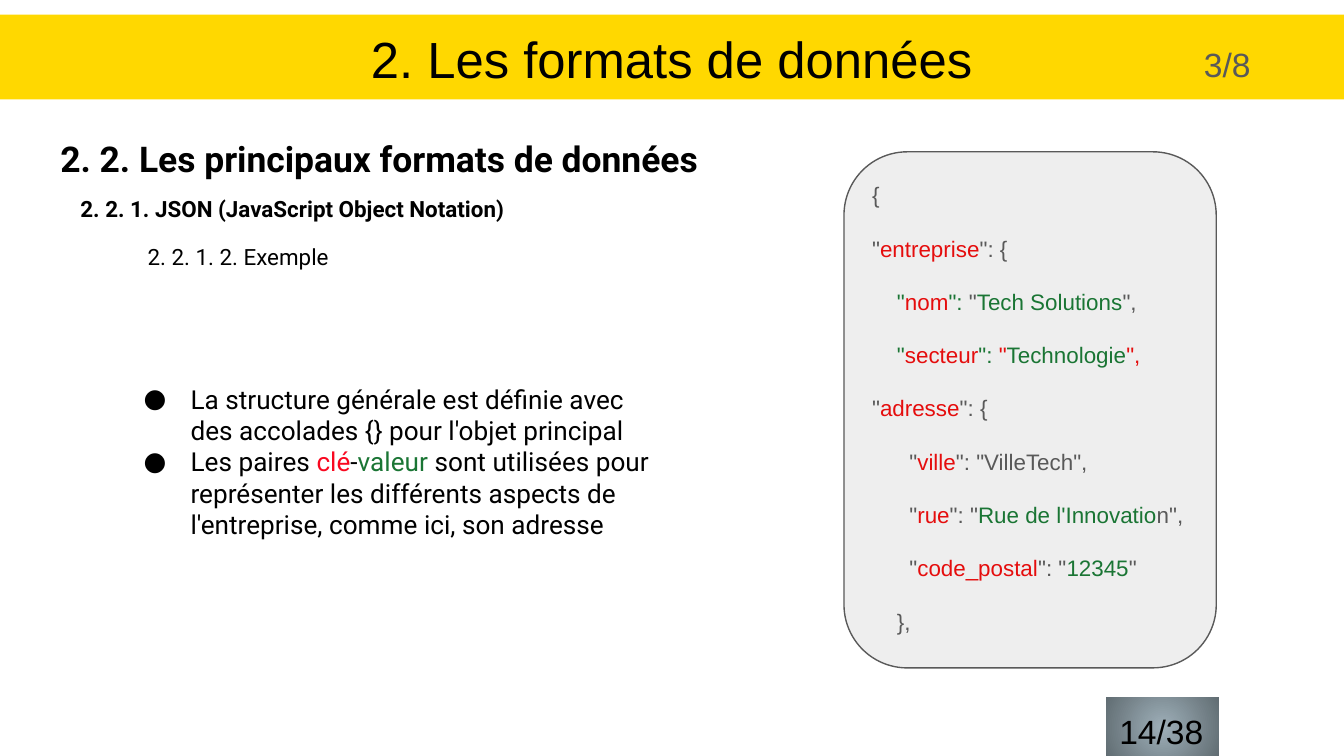
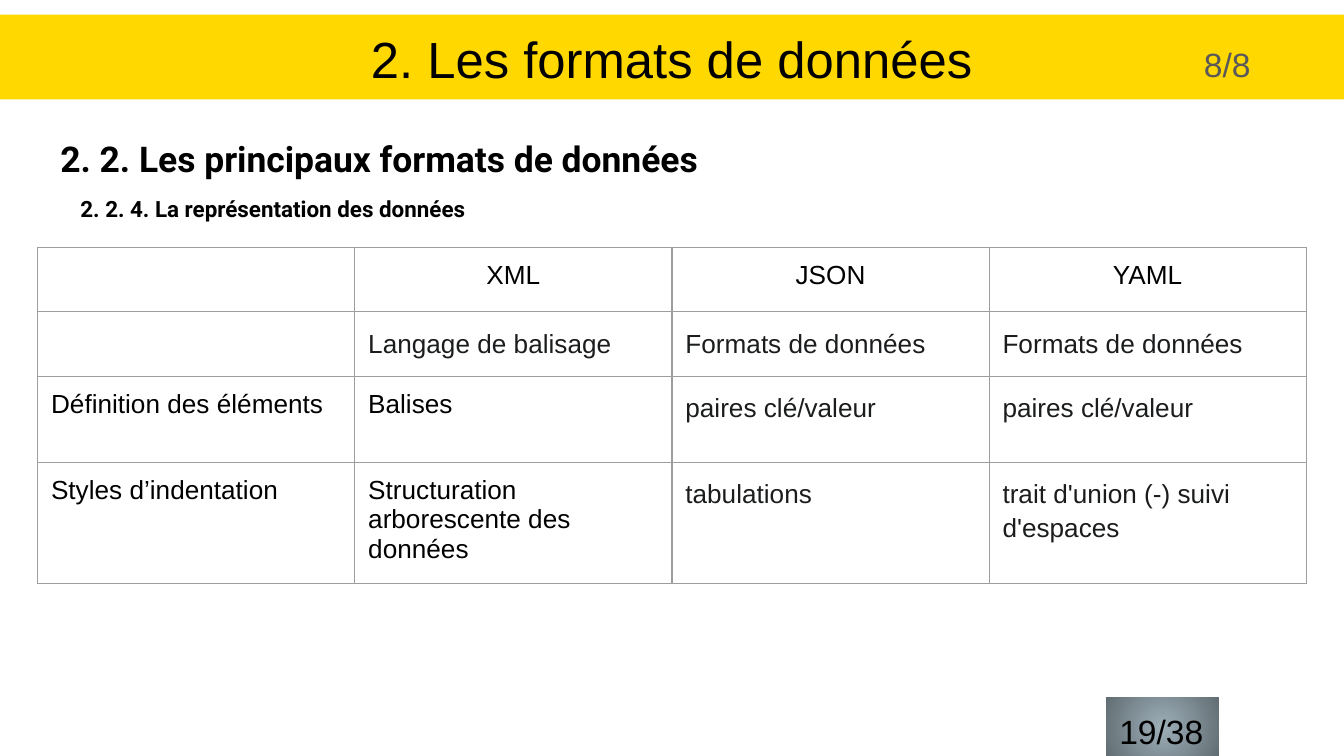
from dataclasses import dataclass
from typing import Optional

from lxml.etree import SubElement as Sub
from pptx import Presentation
from pptx.dml.color import RGBColor
from pptx.enum.shapes import MSO_SHAPE as Shape
from pptx.enum.text import MSO_ANCHOR as Anchor, PP_ALIGN as Align
from pptx.oxml.ns import qn
from pptx.util import Inches, Pt

# Colours and fonts
BLACK = RGBColor(0x00, 0x00, 0x00)
INK = RGBColor(0x1B, 0x1C, 0x1D)
GREY = RGBColor(0x59, 0x59, 0x59)
PALE = RGBColor(0xEE, 0xEE, 0xEE)
RULE = RGBColor(0x9E, 0x9E, 0x9E)
GOLD = RGBColor(0xFF, 0xD8, 0x00)
STEEL = RGBColor(0x9E, 0xAF, 0xB8)
SLATE = RGBColor(0x61, 0x6D, 0x73)
RED = RGBColor(0xE5, 0x0D, 0x0D)
ROSE = RGBColor(0xF9, 0x08, 0x20)
GREEN = RGBColor(0x1A, 0x75, 0x34)
SANS, HEAD = "Arial", "Roboto"
PAD = Inches(0.1)


@dataclass
class Box:
    left: float
    top: float
    width: float
    height: float

    def emu(self) -> list:
        return [Inches(v) for v in (self.left, self.top, self.width, self.height)]


@dataclass
class Run:
    text: str
    color: RGBColor = BLACK


@dataclass
class Style:
    size: float
    font: str = SANS
    bold: bool = False
    align: Align = Align.LEFT
    line: float = 1.0
    before: float = 0
    after: float = 0
    margin: float = 0
    indent: float = 0
    bullet: Optional[str] = None


TITLE = Style(27.2, align=Align.CENTER)
COUNT = Style(18)
PART = Style(19, HEAD, True, line=1.15, after=12)
TOPIC = Style(12, HEAD, True, line=1.15, indent=0.5)
WIDE = Style(12, HEAD, True, line=1.38, after=12, indent=0.5)
LABEL = Style(12, HEAD, margin=0.5, indent=0.5)
POINT = Style(14, HEAD, margin=0.5, indent=-0.35, bullet="●")
CODE = Style(12, line=1.15, before=12)
TOP = Style(14, align=Align.CENTER)
PLAIN = Style(14)
LOOSE = Style(14, line=1.15, after=12)

BAND = Box(0, 0.11, 10, 0.63)
STEP = Box(8.86, 0.23, 0.78, 0.38)
HEADING = Box(0.35, 0.87, 9.32, 0.63)
PAGE = Box(8.23, 5.19, 0.84, 0.44)


# Text
def dot(props, style: Style) -> None:
    tint = Sub(props, qn("a:buClr"))
    Sub(tint, qn("a:srgbClr"), val=str(BLACK))
    Sub(props, qn("a:buSzPts"), val=str(style.size * 100))
    Sub(props, qn("a:buFont"), typeface=style.font)
    Sub(props, qn("a:buChar"), char=style.bullet)


def write(frame, lines: list[list[Run]], style: Style) -> None:
    for i, runs in enumerate(lines):
        para = frame.paragraphs[0] if i == 0 else frame.add_paragraph()
        props = para._p.get_or_add_pPr()
        props.set("marL", str(Inches(style.margin)))
        props.set("indent", str(Inches(style.indent)))
        if style.bullet:
            dot(props, style)
        para.alignment = style.align
        para.line_spacing = style.line
        para.space_before = Pt(style.before if i else 0)
        para.space_after = Pt(style.after)
        for part in runs:
            run = para.add_run()
            run.text = part.text
            font = run.font
            font.name, font.size, font.bold = style.font, Pt(style.size), style.bold
            font.color.rgb = part.color


def fill_frame(frame, lines: list[list[Run]], style: Style) -> None:
    frame.word_wrap = True
    frame.vertical_anchor = Anchor.TOP
    frame.margin_left = frame.margin_right = PAD
    frame.margin_top = frame.margin_bottom = PAD
    write(frame, lines, style)


def add_text(slide, box: Box, lines: list[list[Run]], style: Style) -> None:
    fill_frame(slide.shapes.add_textbox(*box.emu()).text_frame, lines, style)


# Shapes
def add_block(slide, box: Box, fill: Optional[RGBColor] = None,
              kind: Shape = Shape.RECTANGLE):
    block = slide.shapes.add_shape(kind, *box.emu())
    block.shadow.inherit = False
    block.line.fill.background()
    if fill is not None:
        block.fill.solid()
        block.fill.fore_color.rgb = fill
    return block


def glow(block) -> None:
    """Fade from the centre out to the edges."""
    block.fill.gradient()
    for stop, color, place in zip(block.fill.gradient_stops, (STEEL, SLATE), (0, 1)):
        stop.color.rgb, stop.position = color, place
    grad = block.element.spPr.find(qn("a:gradFill"))
    grad.remove(grad.find(qn("a:lin")))
    ring = Sub(grad, qn("a:path"), {"path": "circle"})
    Sub(ring, qn("a:fillToRect"), {side: "50000" for side in "ltrb"})


# Band, section heading and page count of each slide
def add_base(deck, step: str, page: str):
    slide = deck.slides.add_slide(deck.slide_layouts[6])
    band = add_block(slide, BAND, GOLD)
    fill_frame(band.text_frame, [[Run("2. Les formats de données")]], TITLE)
    add_text(slide, STEP, [[Run(step, GREY)]], COUNT)
    add_text(slide, HEADING, [[Run("2. 2. Les principaux formats de données")]], PART)
    tile = add_block(slide, PAGE)
    glow(tile)
    fill_frame(tile.text_frame, [[Run(page)]], COUNT)
    return slide


# Table
def edge(cell) -> None:
    props = cell._tc.get_or_add_tcPr()
    for side in ("lnL", "lnR", "lnT", "lnB"):
        line = Sub(props, qn(f"a:{side}"), w=str(Pt(0.75)))
        Sub(Sub(line, qn("a:solidFill")), qn("a:srgbClr"), val=str(RULE))


def pick(row: int, col: int) -> tuple[Style, RGBColor]:
    if row == 0:
        return TOP, BLACK
    if row == 1 or col > 1:
        return LOOSE, INK
    return PLAIN, BLACK


def add_grid(slide, box: Box, rows: list[list[str]], heights: list[float]) -> None:
    cols = len(rows[0])
    grid = slide.shapes.add_table(len(rows), cols, *box.emu()).table
    grid.first_row = grid.horz_banding = False
    for col in grid.columns:
        col.width = Inches(box.width / cols)
    for r, (texts, height) in enumerate(zip(rows, heights)):
        grid.rows[r].height = Inches(height)
        for c, text in enumerate(texts):
            cell = grid.cell(r, c)
            edge(cell)
            cell.fill.background()
            cell.margin_left = cell.margin_right = PAD
            cell.margin_top = cell.margin_bottom = PAD
            if text:
                style, color = pick(r, c)
                write(cell.text_frame, [[Run(text, color)]], style)
            else:
                blank = cell.text_frame.paragraphs[0]._p
                Sub(blank, qn("a:endParaRPr"), sz=str(PLAIN.size * 100))


# JSON example: grey marks, red keys, green values
def mark(text: str) -> Run:
    return Run(text, GREY)


def key(text: str) -> Run:
    return Run(text, RED)


def val(text: str) -> Run:
    return Run(text, GREEN)


SAMPLE = [
    [mark("{")],
    [mark('"'), key("entreprise"), mark('": {')],
    [val('    "'), key("nom"), val('":'), mark(' "'), val("Tech Solutions"), mark('",')],
    [val('    "'), key("secteur"), val('": '), key('"'), val("Technologie"), key('",')],
    [mark('"'), key("adresse"), mark('": {')],
    [mark('      "'), key("ville"), mark('": "VilleTech",')],
    [mark('      "'), key("rue"), mark('": "'), val("Rue de l'Innovatio"), mark('n",')],
    [mark('      "'), key("code_postal"), mark('": "'), val("12345"), mark('"')],
    [mark("    },")],
]

POINTS = [
    [Run("La structure générale est définie avec des accolades {} pour l'objet principal")],
    [Run("Les paires "), Run("clé", ROSE), Run("-"), Run("valeur ", GREEN),
     Run("sont utilisées pour représenter les différents aspects de l'entreprise, "
         "comme ici, son adresse")],
]

ROWS = [
    ["", "XML", "JSON", "YAML"],
    ["", "Langage de balisage", "Formats de données", "Formats de données"],
    ["Définition des éléments", "Balises", "paires clé/valeur", "paires clé/valeur"],
    ["Styles d’indentation", "Structuration arborescente des données", "tabulations",
     "trait d'union (-) suivi d'espaces"],
]


def add_json(deck) -> None:
    slide = add_base(deck, "3/8", "14/38")
    card = add_block(slide, Box(6.28, 1.13, 2.77, 3.84), PALE, Shape.ROUNDED_RECTANGLE)
    card.adjustments[0] = 0.17
    card.line.color.rgb = GREY
    card.line.width = Pt(0.75)
    add_text(slide, Box(6.39, 1.22, 3.45, 2.08), SAMPLE, CODE)
    add_text(slide, Box(0, 1.32, 10, 0.75),
             [[Run("2. 2. 1. JSON (JavaScript Object Notation)")]], TOPIC)
    add_text(slide, Box(0, 1.71, 10, 0.57), [[Run("2. 2. 1. 2. Exemple")]], LABEL)
    add_text(slide, Box(0.82, 2.75, 4.27, 1.58), POINTS, POINT)


def add_match(deck) -> None:
    slide = add_base(deck, "8/8", "19/38")
    add_text(slide, Box(0, 1.28, 10, 0.4),
             [[Run("2. 2. 4. La représentation des données")]], WIDE)
    add_grid(slide, Box(0.28, 1.84, 9.44, 2.46), ROWS, [0.48, 0.48, 0.64, 0.86])


def main() -> None:
    deck = Presentation()
    deck.slide_width = Inches(10)
    deck.slide_height = deck.slide_width * 9 // 16
    add_json(deck)
    add_match(deck)
    deck.save("out.pptx")


if __name__ == "__main__":
    main()
